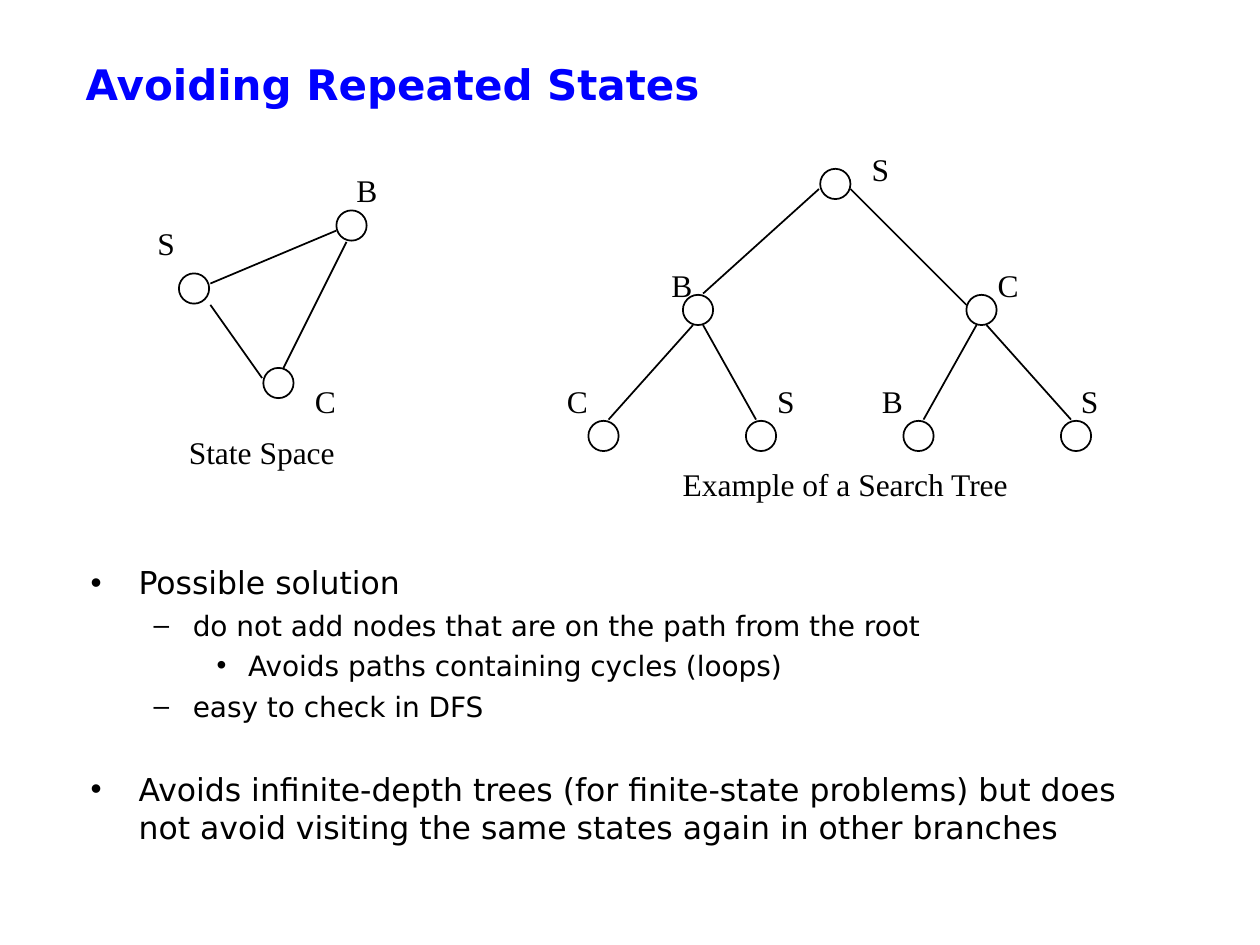
from lxml import etree
from pptx import Presentation
from pptx.dml.color import RGBColor
from pptx.enum import shapes, text
from pptx.oxml import ns
from pptx.util import Inches, Pt

BLACK, BLUE = "000000", "0000FF"
SANS, SERIF = "DejaVu Sans", "Times New Roman"
NODE = 0.24
LABEL_WIDTH = {"S": 0.34, "B": 0.37, "C": 0.37}

# Content
TITLE = "Avoiding Repeated States"
# level, space before, text
BULLETS = [
    (0, 0, "Possible solution"),
    (1, 4, "do not add nodes that are on the path from the root"),
    (2, 4, "Avoids paths containing cycles (loops)"),
    (1, 4, "easy to check in DFS"),
    (0, 27, "Avoids infinite-depth trees (for finite-state problems) but does "
            "not avoid visiting the same states again in other branches"),
]
# bullet, size, left margin, hanging indent of each level
LEVELS = [("•", 18, 0.38, 0.38), ("–", 16, 0.81, 0.31), ("•", 16, 1.25, 0.25)]

# Nodes: letter, node left and top, label left and top
STATE_SPACE = {
    "nodes": [("S", 1.42, 2.17, 1.15, 1.73), ("C", 2.09, 2.92, 2.4, 2.98),
              ("B", 2.67, 1.67, 2.73, 1.31)],
    "edges": [(1.67, 2.25, 2.67, 1.83), (2.75, 1.92, 2.25, 2.92),
              (1.67, 2.42, 2.08, 3)],
    "caption": ("State Space", 1.4, 3.39, 1.36),
}
SEARCH_TREE = {
    "nodes": [("S", 6.51, 1.34, 6.82, 1.14),
              ("B", 5.42, 2.34, 5.23, 2.06), ("C", 7.67, 2.34, 7.82, 2.06),
              ("C", 4.67, 3.34, 4.4, 2.98), ("S", 5.92, 3.34, 6.07, 2.98),
              ("B", 7.17, 3.34, 6.9, 2.98), ("S", 8.42, 3.34, 8.48, 2.98)],
    "edges": [(6.5, 1.5, 5.58, 2.33), (6.75, 1.5, 7.67, 2.42),
              (5.5, 2.58, 4.83, 3.33), (5.58, 2.58, 6, 3.33),
              (7.75, 2.58, 7.33, 3.33), (7.83, 2.58, 8.5, 3.33)],
    "caption": ("Example of a Search Tree", 5.32, 3.64, 2.79),
}


def color(value):
    return RGBColor.from_string(value)


def add_run(p, words, size, font, fill=BLACK, bold=False):
    r = p.add_run()
    r.text = words
    r.font.size, r.font.name, r.font.bold = Pt(size), font, bold
    r.font.color.rgb = color(fill)


def place(sp, *box):
    sp.left, sp.top, sp.width, sp.height = map(Inches, box)


def outline(sp):
    sp.line.color.rgb = color(BLACK)
    sp.line.width = Pt(1)


def add_node(s, x, y):
    sp = s.shapes.add_shape(shapes.MSO_SHAPE.OVAL, *map(Inches, (x, y, NODE, NODE)))
    sp.shadow.inherit = False
    sp.fill.background()
    outline(sp)


def add_edge(s, *ends):
    line = s.shapes.add_connector(shapes.MSO_CONNECTOR.STRAIGHT, *map(Inches, ends))
    outline(line)
    etree.SubElement(line._element.spPr, ns.qn("a:effectLst"))


def add_label(s, words, x, y, width):
    tf = s.shapes.add_textbox(*map(Inches, (x, y, width, 0.4))).text_frame
    tf.word_wrap = False
    tf.auto_size = text.MSO_AUTO_SIZE.SHAPE_TO_FIT_TEXT
    add_run(tf.paragraphs[0], words, 18, SERIF)


def add_graph(s, graph):
    for letter, x, y, label_x, label_y in graph["nodes"]:
        add_node(s, x, y)
        add_label(s, letter, label_x, label_y, LABEL_WIDTH[letter])
    for edge in graph["edges"]:
        add_edge(s, *edge)
    add_label(s, *graph["caption"])


def add_bullet(p, level, before, words):
    mark, size, margin, hang = LEVELS[level]
    p.level = level
    pPr = p._p.get_or_add_pPr()
    pPr.set("marL", str(Inches(margin)))
    pPr.set("indent", str(-Inches(hang)))
    etree.SubElement(pPr, ns.qn("a:buChar")).set("char", mark)
    p.space_before = Pt(before)
    add_run(p, words, size, SANS)


def main():
    prs = Presentation()
    prs.slide_width, prs.slide_height = Inches(10), Inches(7.5)
    s = prs.slides.add_slide(prs.slide_layouts[1])
    title, body = s.placeholders

    # Title
    place(title, 0.58, 0.33, 8.5, 0.67)
    tf = title.text_frame
    tf.auto_size = text.MSO_AUTO_SIZE.NONE
    tf.vertical_anchor = text.MSO_ANCHOR.MIDDLE
    p = tf.paragraphs[0]
    p.alignment = text.PP_ALIGN.LEFT
    add_run(p, TITLE, 24, SANS, BLUE, bold=True)

    # Bullet list
    place(body, 0.62, 4.42, 8.58, 3.08)
    tf = body.text_frame
    tf.auto_size = text.MSO_AUTO_SIZE.NONE
    for i, bullet in enumerate(BULLETS):
        add_bullet(tf.add_paragraph() if i else tf.paragraphs[0], *bullet)

    # Graphs
    for graph in (STATE_SPACE, SEARCH_TREE):
        add_graph(s, graph)

    prs.save("out.pptx")


if __name__ == "__main__":
    main()
